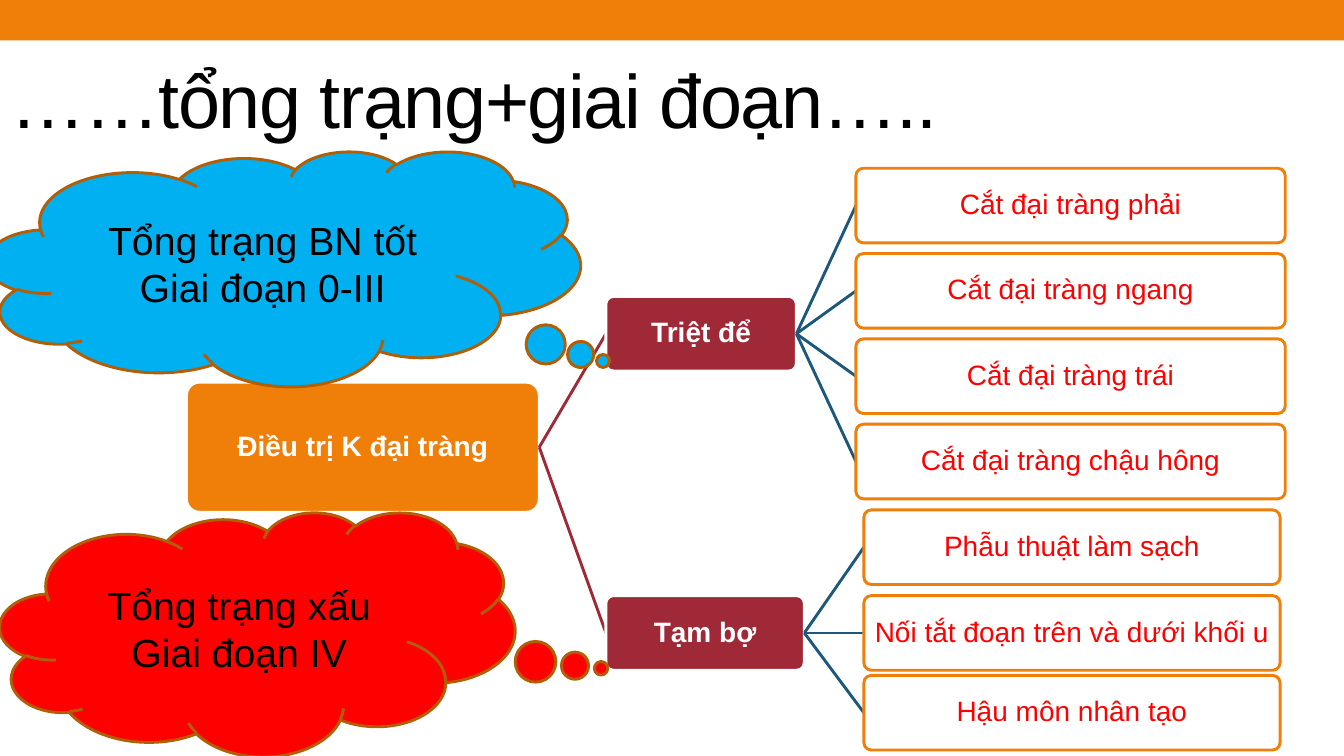
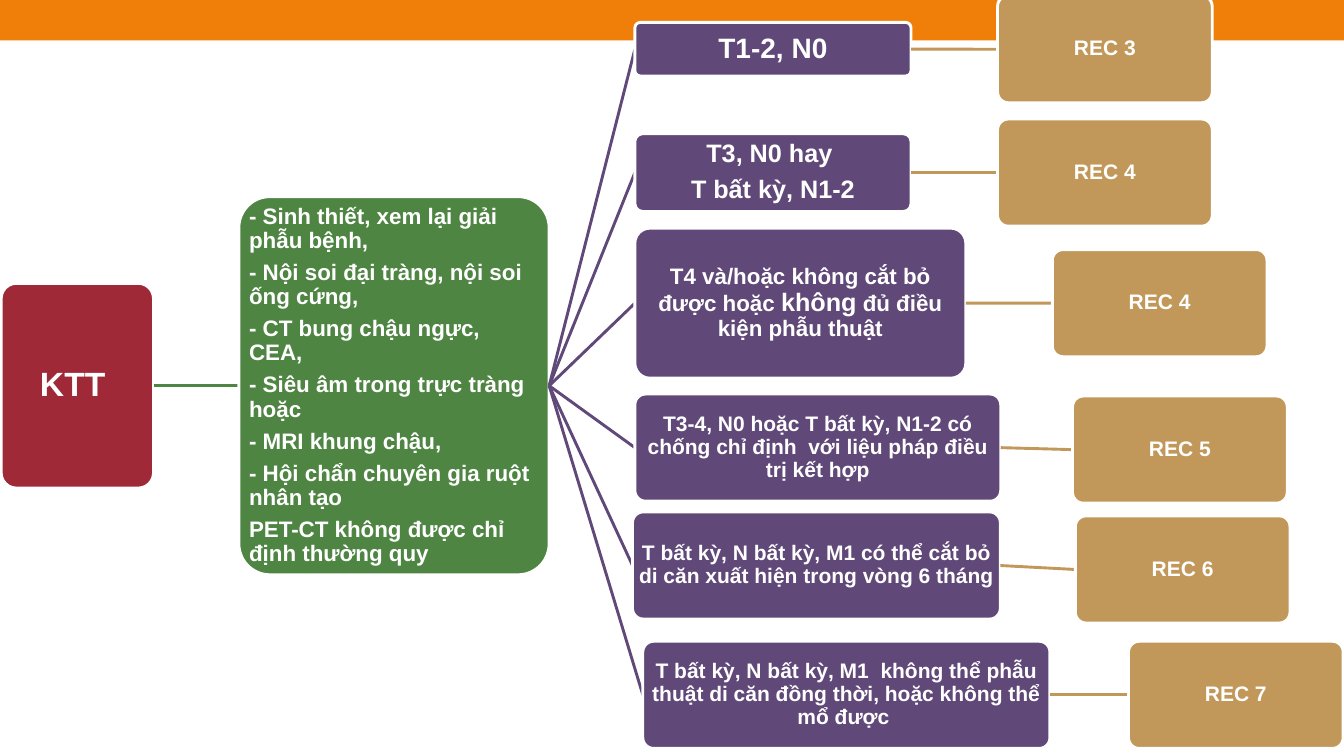
import pptx
import pptx.dml.color
import pptx.enum.shapes
import pptx.enum.text
import pptx.oxml
import pptx.oxml.ns
import pptx.util
from collections import namedtuple

Cm = pptx.util.Cm
Pt = pptx.util.Pt
RGBColor = pptx.dml.color.RGBColor
SHAPE = pptx.enum.shapes.MSO_SHAPE
ALIGN = pptx.enum.text.PP_ALIGN

ORANGE = RGBColor(0xF0, 0x7F, 0x09)
DARK_ORANGE = RGBColor(0xB2, 0x5E, 0x07)
MAROON = RGBColor(0x9F, 0x29, 0x36)
NAVY = RGBColor(0x1B, 0x58, 0x7C)
GREEN = RGBColor(0x4E, 0x85, 0x42)
PURPLE = RGBColor(0x60, 0x48, 0x78)
TAN = RGBColor(0xC1, 0x98, 0x59)
SKY = RGBColor(0x00, 0xB0, 0xF0)
RED = RGBColor(0xFF, 0x00, 0x00)
WHITE = RGBColor(0xFF, 0xFF, 0xFF)
BLACK = RGBColor(0x00, 0x00, 0x00)

FONT = "Arial"
LINE_WIDTH = Pt(2.08)
SLIDE_WIDTH, SLIDE_HEIGHT = Cm(33.87), Cm(19.05)

# Lengths in centimetres; middle is the height of the box's centre line.
Box = namedtuple("Box", "left middle width height")

LEAF_GAP = 1.5
LEAF_PITCH = 2.15
REC_SIZE = (5.41, 2.7)

WORKUP = [
    "- Sinh thiết, xem lại giải phẫu bệnh,",
    "- Nội soi đại tràng, nội soi ống cứng,",
    "- CT bung chậu ngực, CEA,",
    "- Siêu âm trong trực tràng hoặc",
    "- MRI khung chậu,",
    "- Hội chẩn chuyên gia ruột nhân tạo",
    "PET-CT không được chỉ định thường quy",
]

# stage box, stage text, text size, gap to recommendation, its middle, its text
STAGES = [
    (Box(16, 1.24, 6.96, 1.35), ["T1-2, N0"], 20, 2.18, 1.24, "REC 3"),
    (Box(16, 4.35, 6.96, 1.96), ["T3, N0 hay ", "T bất kỳ, N1-2"],
     18, 2.18, 4.35, "REC 4"),
    (Box(16, 7.64, 8.34, 3.78),
     [[("T4 và/hoặc không cắt bỏ được hoặc ", 16), ("không", 18),
       (" đủ điều kiện phẫu thuật", 16)]], 16, 2.18, 7.64, "REC 4"),
    (Box(16, 11.28, 9.22, 2.7),
     ["T3-4, N0 hoặc T bất kỳ, N1-2 có chống chỉ định  với liệu pháp "
      "điều trị kết hợp"], 15, 1.81, 11.33, "REC 5"),
    (Box(15.94, 14.25, 9.27, 2.7),
     ["T bất kỳ, N bất kỳ, M1 có thể cắt bỏ di căn xuất hiện trong vòng "
      "6 tháng"], 15, 1.89, 14.35, "REC 6"),
    (Box(16.2, 17.51, 10.26, 2.7),
     ["T bất kỳ, N bất kỳ, M1  không thể phẫu thuật di căn đồng thời, "
      "hoặc không thể mổ được "], 15, 1.98, 17.51, "REC 7"),
]


def write_text(shape, paragraphs, *, size, color, bold=False, align=ALIGN.CENTER,
               inset=None, line_spacing=None, space_after=None, tracking=None):
    """Fill a shape; a paragraph is a string or a list of (text, size) runs."""
    frame = shape.text_frame
    frame.word_wrap = True
    frame.auto_size = pptx.enum.text.MSO_AUTO_SIZE.NONE
    frame.vertical_anchor = pptx.enum.text.MSO_ANCHOR.MIDDLE
    if inset is not None:
        frame.margin_left = frame.margin_right = Cm(inset)
        frame.margin_top = frame.margin_bottom = Cm(inset)
    for index, content in enumerate(paragraphs):
        paragraph = frame.add_paragraph() if index else frame.paragraphs[0]
        paragraph.alignment = align
        if line_spacing is not None:
            paragraph.line_spacing = line_spacing
        if space_after is not None:
            paragraph.space_after = Pt(space_after)
        runs = [(content, size)] if isinstance(content, str) else content
        for text, run_size in runs:
            run = paragraph.add_run()
            run.text = text
            font = run.font
            font.name, font.size, font.bold = FONT, Pt(run_size), bold
            font.color.rgb = color
            if tracking is not None:
                font._element.set("spc", str(int(tracking * 100)))


def add_filled(slide, kind, left, top, width, height, fill, outline=None):
    shape = slide.shapes.add_shape(kind, left, top, width, height)
    shape.shadow.inherit = False
    shape.fill.solid()
    shape.fill.fore_color.rgb = fill
    if outline is None:
        shape.line.fill.background()
    else:
        shape.line.color.rgb = outline
        shape.line.width = LINE_WIDTH
    return shape


def add_node(slide, box, paragraphs, *, fill, size, outline=WHITE, color=WHITE,
             bold=True, align=ALIGN.CENTER, parent=None, link=None):
    """Add a rounded box, joined to its parent by a line of colour link."""
    if parent is not None:
        connector = slide.shapes.add_connector(
            pptx.enum.shapes.MSO_CONNECTOR.STRAIGHT, 0, 0, 0, 0)
        connector.line.color.rgb = link
        connector.line.width = LINE_WIDTH
        connector._element.spPr.append(pptx.oxml.parse_xml(
            "<a:effectLst %s/>" % pptx.oxml.ns.nsdecls("a")))
    node = add_filled(slide, SHAPE.ROUNDED_RECTANGLE, Cm(box.left),
                      Cm(box.middle - box.height / 2), Cm(box.width),
                      Cm(box.height), fill, outline)
    node.adjustments[0] = 0.1
    write_text(node, paragraphs, size=size, color=color, bold=bold, align=align,
               inset=0.03, line_spacing=0.9, space_after=round(0.35 * size, 1))
    if parent is not None:
        connector.begin_connect(parent, 3)
        connector.end_connect(node, 1)
    return node


def add_branch(slide, root, box, title, leaf_width, leaves):
    """Add a branch and its (middle, text) leaves to the right of it."""
    branch = add_node(slide, box, [title], fill=MAROON, size=20,
                      parent=root, link=MAROON)
    for middle, text in leaves:
        leaf = Box(box.left + box.width + LEAF_GAP, middle, leaf_width, box.height)
        add_node(slide, leaf, [text], fill=WHITE, outline=ORANGE, color=RED,
                 bold=False, size=20, parent=branch, link=NAVY)


def add_cloud(slide, box, paragraphs, fill, tail):
    cloud = add_filled(slide, SHAPE.CLOUD_CALLOUT, Cm(box.left),
                       Cm(box.middle - box.height / 2), Cm(box.width),
                       Cm(box.height), fill, DARK_ORANGE)
    cloud.adjustments[0], cloud.adjustments[1] = tail
    write_text(cloud, paragraphs, size=28, color=BLACK)


def add_master_band(prs, slide):
    """Draw the top band and move it to the master that all slides share."""
    band = add_filled(slide, SHAPE.RECTANGLE, 0, 0, SLIDE_WIDTH, Cm(1.02), ORANGE)
    prs.slide_master.shapes._spTree.insert(2, band._element)


def build_treatment(slide):
    title = slide.shapes.title
    title.left, title.top = Cm(0), Cm(0.69)
    title.width, title.height = Cm(24.77), Cm(3.56)
    write_text(title, ["……tổng trạng+giai đoạn….."], size=54, color=BLACK,
               align=ALIGN.LEFT, tracking=-1)

    root = add_node(slide, Box(4.7, 11.27, 8.89, 3.28), ["Điều trị K đại tràng"],
                    fill=ORANGE, size=20)
    resections = ["phải", "ngang", "trái", "chậu hông"]
    add_branch(slide, root, Box(15.27, 8.41, 4.8, 1.88), "Triệt để", 10.82,
               [(5.18 + LEAF_PITCH * row, "Cắt đại tràng " + part)
                for row, part in enumerate(resections)])
    add_branch(slide, root, Box(15.27, 15.95, 5, 1.88), "Tạm bợ", 10.49,
               [(13.79, "Phẫu thuật làm sạch"),
                (15.95, "Nối tắt đoạn trên và dưới khối u"),
                (17.96, "Hậu môn nhân tạo")])
    add_cloud(slide, Box(-0.33, 6.77, 14.96, 5.92),
              ["Tổng trạng BN tốt", "Giai đoạn 0-III"], SKY, (0.538, 0.393))
    add_cloud(slide, Box(0, 15.98, 12.98, 6.15),
              ["Tổng trạng xấu", "Giai đoạn IV"], RED, (0.667, 0.14))


def build_staging(slide):
    tumour = add_node(slide, Box(0.03, 9.72, 3.84, 5.16), ["KTT "],
                      fill=MAROON, size=24)
    workup = add_node(slide, Box(6.02, 9.72, 7.82, 9.53), WORKUP, fill=GREEN,
                      size=16, align=ALIGN.LEFT, parent=tumour, link=GREEN)
    for box, paragraphs, size, gap, rec_middle, rec in STAGES:
        stage = add_node(slide, box, paragraphs, fill=PURPLE, size=size,
                         parent=workup, link=PURPLE)
        rec_box = Box(box.left + box.width + gap, rec_middle, *REC_SIZE)
        add_node(slide, rec_box, [rec], fill=TAN, size=15, parent=stage, link=TAN)


def main():
    prs = pptx.Presentation()
    prs.slide_width, prs.slide_height = SLIDE_WIDTH, SLIDE_HEIGHT
    title_only, blank = prs.slide_layouts[5], prs.slide_layouts[6]
    treatment = prs.slides.add_slide(title_only)
    add_master_band(prs, treatment)
    build_treatment(treatment)
    build_staging(prs.slides.add_slide(blank))
    prs.save("out.pptx")


if __name__ == "__main__":
    main()
